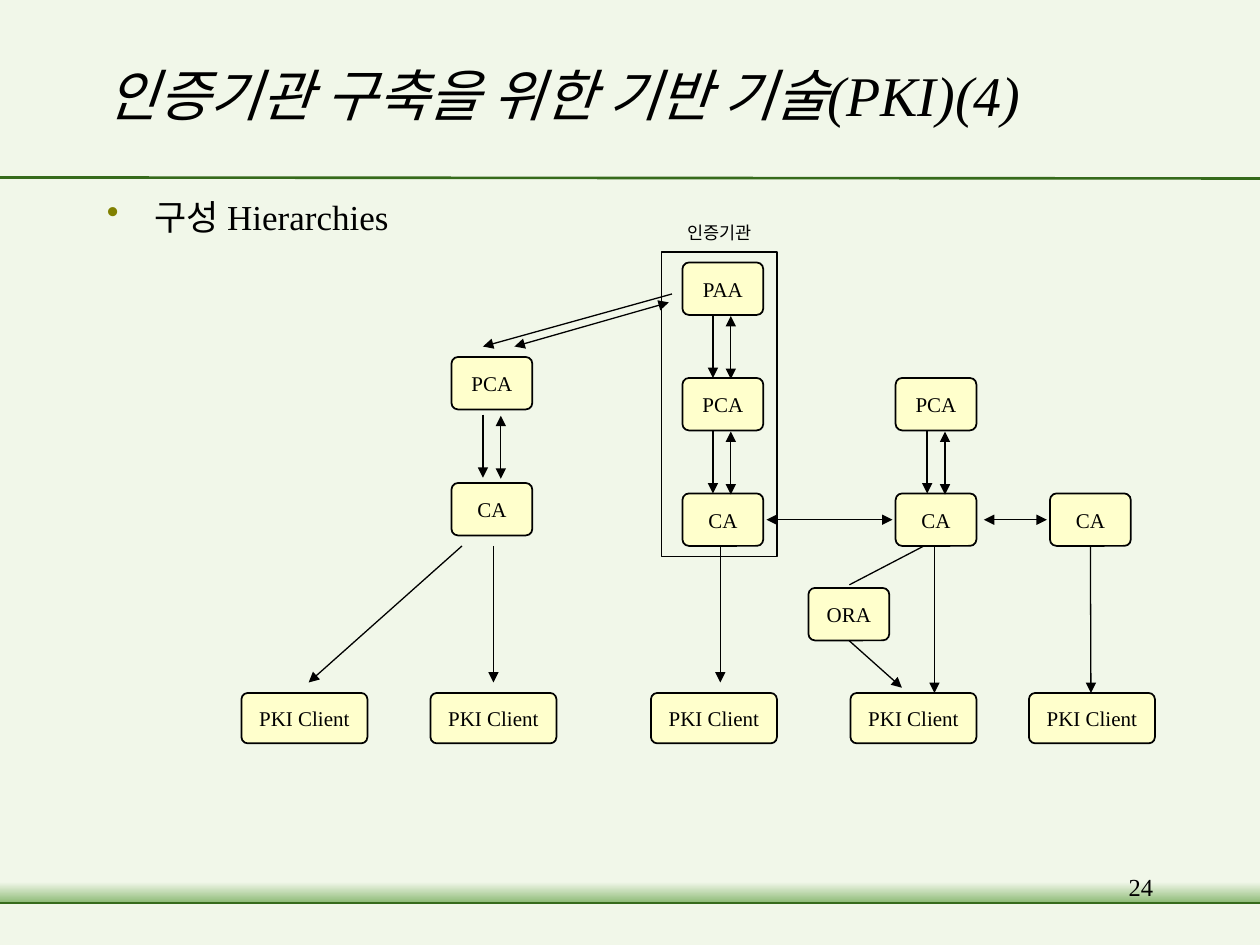
import pptx
import pptx.util
import pptx.dml.color
import pptx.enum.shapes
import pptx.enum.text
import pptx.oxml
import pptx.oxml.ns

MSO = pptx.enum.shapes.MSO_SHAPE
ALIGN = pptx.enum.text.PP_ALIGN
ANCHOR = pptx.enum.text.MSO_ANCHOR
BLACK, PAPER, GREEN, LEAF, CREAM, OLIVE = (
    "000000", "F1F7E9", "366B1B", "8DBA76", "FFFFCC", "808000")
LATIN, HANGUL = "Times New Roman", "Noto Sans CJK KR"


def grid(n):
    """Length of n grid units; the slide is 120 columns by 90 rows."""
    return pptx.util.Inches(n / 12)


def rgb(color):
    return pptx.dml.color.RGBColor.from_string(color)


def add_xml(parent, tag, **attrs):
    el = pptx.oxml.parse_xml("<a:%s %s/>" % (tag, pptx.oxml.ns.nsdecls("a")))
    for key, value in attrs.items():
        el.set(key, value)
    parent.append(el)
    return el


def add_text(sp, text, size, align=ALIGN.LEFT, anchor=ANCHOR.TOP, wrap=True,
             italic=False, font=LATIN, inset=(0.1, 0.05)):
    tf = sp.text_frame
    tf.word_wrap = wrap
    tf.vertical_anchor = anchor
    tf.margin_left = tf.margin_right = pptx.util.Inches(inset[0])
    tf.margin_top = tf.margin_bottom = pptx.util.Inches(inset[1])
    p = tf.paragraphs[0]
    p.alignment = align
    r = p.add_run()
    r.text = text
    r.font.size = pptx.util.Pt(size)
    r.font.name = font
    r.font.italic = italic
    r.font.color.rgb = rgb(BLACK)
    add_xml(r.font._element, "ea", typeface=HANGUL)
    return p


def add_label(s, box, text, size, **style):
    sp = s.shapes.add_textbox(*map(grid, box))
    return add_text(sp, text, size, **style)


def add_box(s, kind, box, fill, width):
    sp = s.shapes.add_shape(kind, *map(grid, box))
    sp.shadow.inherit = False
    sp.fill.solid()
    sp.fill.fore_color.rgb = rgb(fill)
    sp.line.color.rgb = rgb(BLACK)
    sp.line.width = pptx.util.Pt(width)
    return sp


def add_line(s, start, end, color=BLACK, width=0.75, heads=""):
    c = s.shapes.add_connector(pptx.enum.shapes.MSO_CONNECTOR.STRAIGHT,
                               *map(grid, (*start, *end)))
    c.line.color.rgb = rgb(color)
    c.line.width = pptx.util.Pt(width)
    ln = c._element.spPr.find(pptx.oxml.ns.qn("a:ln"))
    for tag in heads.split():
        add_xml(ln, tag, type="triangle")
    add_xml(c._element.spPr, "effectLst")
    return c


ONE_WAY, TWO_WAY = "tailEnd", "headEnd tailEnd"


def header(s, box):
    x, y, w, h = box
    add_line(s, (x, y + h - 0.1), (x + w, y + h), GREEN, 1.5)
    add_label(s, (x + 9, y + 3, w - 18, 12), "인증기관 구축을 위한 기반 기술(PKI)(4)",
              32, anchor=ANCHOR.MIDDLE, italic=True)


def footer(s, box):
    x, y, w, h = box
    band = s.shapes.add_shape(MSO.RECTANGLE, *map(grid, box))
    band.shadow.inherit = False
    band.line.fill.background()
    band.fill.gradient()
    band.fill.gradient_angle = 270
    for stop, color in zip(band.fill.gradient_stops, (PAPER, LEAF)):
        stop.color.rgb = rgb(color)
    add_line(s, (x, y + h), (x + w, y + h), GREEN, 1.5)
    add_label(s, (x + 86, y - 1.5, 25, 6), "24", 14, align=ALIGN.RIGHT)


def bullet_line(s, box):
    p = add_label(s, box, "구성 Hierarchies", 20)
    ppr = p._p.get_or_add_pPr()
    indent = pptx.util.Inches(0.38)
    ppr.set("marL", str(indent))
    ppr.set("indent", str(-indent))
    add_xml(add_xml(ppr, "buClr"), "srgbClr", val=OLIVE)
    add_xml(ppr, "buChar", char="•")


def hierarchy(s, box):
    x0, y0, w, h = box

    def at(x, y):
        return x0 + x, y0 + y

    def node(text, x, y, width=7.7, height=5):
        sp = add_box(s, MSO.ROUNDED_RECTANGLE, (*at(x, y), width, height), CREAM, 1)
        sp.adjustments[0] = 0.125
        add_text(sp, text, 12, align=ALIGN.CENTER, anchor=ANCHOR.MIDDLE, wrap=False)
        return sp

    # Authority frame and its caption
    add_box(s, MSO.RECTANGLE, (*at(40, 3), 11, 29), PAPER, 0.75)
    add_label(s, (*at(41, 0), 9, 2.3), "인증기관", 10, align=ALIGN.CENTER,
              font=HANGUL, inset=(0.06, 0.01))

    # Authorities and clients
    for text, x, y in (("PAA", 42, 4), ("PCA", 42, 15), ("CA", 42, 26),
                       ("PCA", 20, 13), ("CA", 20, 25),
                       ("PCA", 62.3, 15), ("CA", 62.3, 26)):
        node(text, x, y)
    ora = node("ORA", 54, 35)
    last_ca = node("CA", 77, 26)
    for x in (0, 18, 39, 58, 75):
        node("PKI Client", x, h - 4.8, 12, 4.8)

    # Paired arrows between stacked authorities
    for x, y in ((23, 18.5), (44.9, 9), (44.9, 20), (65.3, 20)):
        add_line(s, at(x, y), at(x, y + 6), heads=ONE_WAY)
        add_line(s, at(x + 1.7, y + 0.1), at(x + 1.7, y + 6.1), heads=TWO_WAY)

    # Single links
    for start, end, heads in (
            ((41, 7), (23, 12), ONE_WAY),
            ((40.7, 7.8), (26, 12), TWO_WAY),
            ((21, 31), (6.4, 44), ONE_WAY),
            ((24, 31), (24, 44), ONE_WAY),
            ((45.6, 31), (45.6, 44), ONE_WAY),
            ((65, 31), (57.9, 34.7), ""),
            ((66, 31), (66, 45), ONE_WAY),
            ((50, 28.5), (62, 28.5), TWO_WAY),
            ((70.7, 28.5), (76.7, 28.5), TWO_WAY)):
        add_line(s, at(*start), at(*end), heads=heads)

    # Links that leave the middle of a node's lower side
    for sp, start, end in ((ora, (57.9, 40), (62.9, 44.5)),
                           (last_ca, (80.9, 31), (80.9, 45))):
        add_line(s, at(*start), at(*end), heads=ONE_WAY).begin_connect(sp, 2)


def main():
    prs = pptx.Presentation()
    prs.slide_width, prs.slide_height = grid(120), grid(90)
    s = prs.slides.add_slide(prs.slide_layouts[6])
    s.background.fill.solid()
    s.background.fill.fore_color.rgb = rgb(PAPER)
    header(s, (0, 0, 120, 17))
    footer(s, (0, 84, 120, 2))
    bullet_line(s, (9, 18, 34, 6))
    hierarchy(s, (23, 21, 87, 49.8))
    prs.save("out.pptx")


if __name__ == "__main__":
    main()
